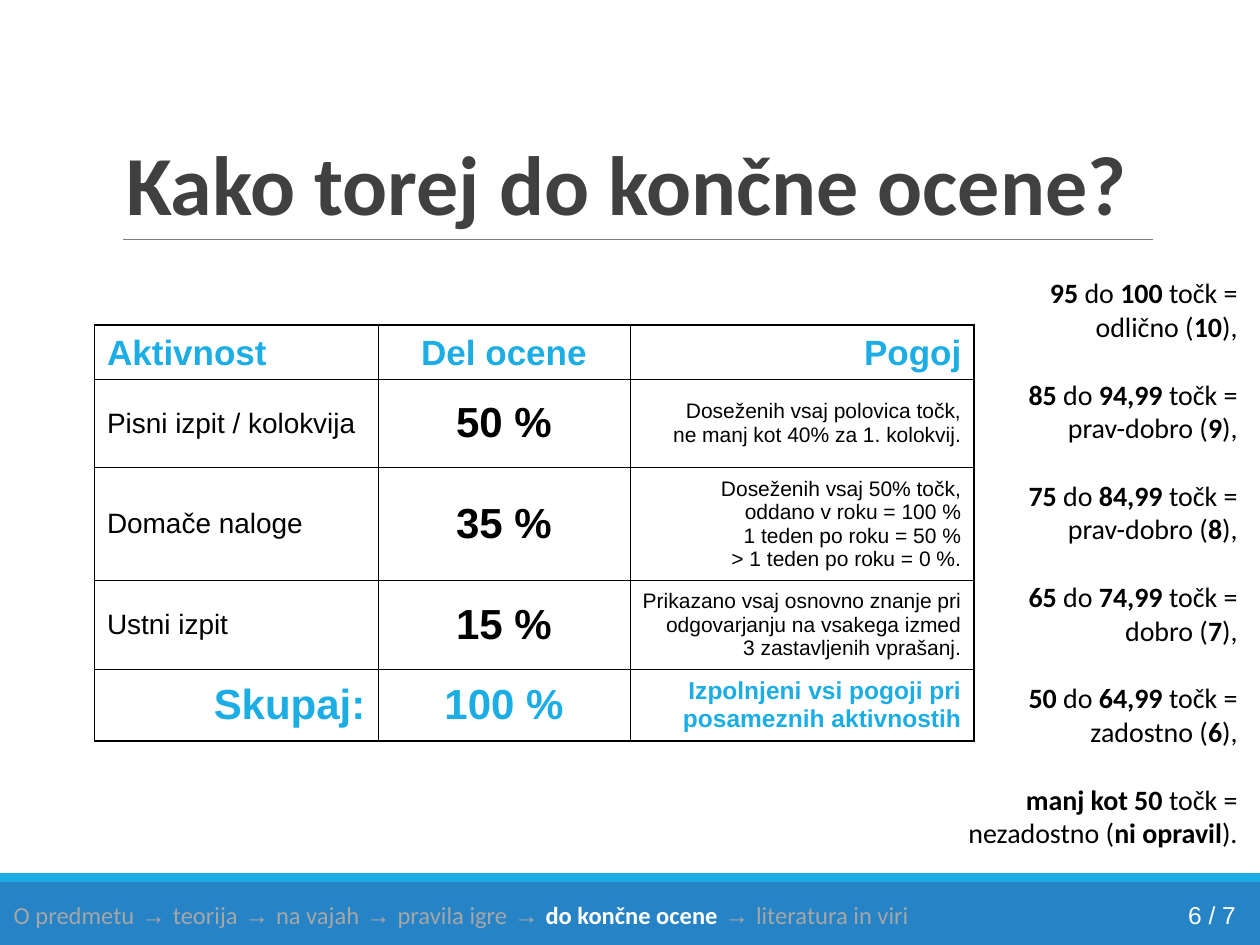
from lxml.etree import SubElement
from pptx import Presentation
from pptx.dml.color import RGBColor
from pptx.enum.shapes import MSO_CONNECTOR, MSO_SHAPE
from pptx.enum.text import MSO_ANCHOR, MSO_AUTO_SIZE, PP_ALIGN
from pptx.oxml import parse_xml
from pptx.oxml.ns import nsdecls, qn
from pptx.util import Inches, Pt

TITLE = "Kako torej do končne ocene?"
HEADER = ("Aktivnost", "Del ocene", "Pogoj")
ACTIVITIES = [
    ("Pisni izpit / kolokvija", "50 %",
     "Doseženih vsaj polovica točk,\nne manj kot 40% za 1. kolokvij."),
    ("Domače naloge", "35 %",
     "Doseženih vsaj 50% točk,\noddano v roku = 100 %\n"
     "1 teden po roku = 50 %\n> 1 teden po roku = 0 %."),
    ("Ustni izpit", "15 %",
     "Prikazano vsaj osnovno znanje pri odgovarjanju na vsakega izmed\n"
     "3 zastavljenih vprašanj."),
]
TOTAL = ("Skupaj:", "100 %", "Izpolnjeni vsi pogoji pri posameznih aktivnostih")
GRADES = [
    ("95", "100", "odlično", "10"),
    ("85", "94,99", "prav-dobro", "9"),
    ("75", "84,99", "prav-dobro", "8"),
    ("65", "74,99", "dobro", "7"),
    ("50", "64,99", "zadostno", "6"),
]
FAIL = [("manj kot 50", True), (" točk = nezadostno (", False),
        ("ni opravil", True), (").", False)]
SECTIONS = ["O predmetu", "teorija", "na vajah", "pravila igre",
            "do končne ocene", "literatura in viri"]
CURRENT_SECTION = "do končne ocene"
PAGE = "6 / 7"

THEME = {
    "heading_font": "Calibri", "table_font": "Arial",
    "accent": "1CADE4", "bar": "2683C6", "title": "404040", "rule": "7F7F7F",
    "text": "000000", "muted": "A6A6A6", "inverse": "FFFFFF",
    "title_size": 48, "header_size": 20, "share_size": 24, "body_size": 16,
    "footer_size": 14, "total_note_size": 14, "note_size": 12,
    "outer_border": 1.08, "inner_border": 0.45,
}
COLUMN_WIDTHS = (2.25, 2, 2.73)
ROW_HEIGHTS = (0.43, 0.7, 0.9, 0.7, 0.57)
ALIGNMENTS = (PP_ALIGN.LEFT, PP_ALIGN.CENTER, PP_ALIGN.RIGHT)


def color(name):
    return RGBColor.from_string(THEME[name])


def add_text(paragraph, text, size, color_name, bold=False, font="heading_font"):
    """Add runs to the paragraph, with a line break at each newline."""
    for index, line in enumerate(text.split("\n")):
        if index:
            paragraph.add_line_break()
        run = paragraph.add_run()
        run.text = line
        run.font.name = THEME[font]
        run.font.size = Pt(THEME[size])
        run.font.bold = bold
        run.font.color.rgb = color(color_name)


def add_box(slide, left, top, width, height, anchor):
    frame = slide.shapes.add_textbox(*map(Inches, (left, top, width, height))).text_frame
    frame.word_wrap = True
    frame.vertical_anchor = anchor
    return frame


def add_bar(slide, top, height, fill):
    bar = slide.shapes.add_shape(MSO_SHAPE.RECTANGLE, 0, Inches(top), Inches(10), Inches(height))
    bar.shadow.inherit = False
    bar.fill.solid()
    bar.fill.fore_color.rgb = color(fill)
    bar.line.fill.background()


def add_title(slide):
    title = slide.shapes.title
    title.left, title.top, title.width, title.height = map(Inches, (0.9, 0.31, 8.25, 1.59))
    frame = title.text_frame
    frame.word_wrap = True
    frame.auto_size = MSO_AUTO_SIZE.NONE
    frame.vertical_anchor = MSO_ANCHOR.BOTTOM
    heading = frame.paragraphs[0]
    heading.alignment = PP_ALIGN.LEFT
    heading.line_spacing = 0.85
    add_text(heading, TITLE, "title_size", "title", True)

    rule = slide.shapes.add_connector(MSO_CONNECTOR.STRAIGHT, *map(Inches, (0.98, 1.9, 9.15, 1.9)))
    rule.line.color.rgb = color("rule")
    rule.line.width = Pt(0.5)
    SubElement(rule.element.spPr, qn("a:effectLst"))


def set_borders(cell, outer_sides):
    properties = cell._tc.get_or_add_tcPr()
    for index, side in enumerate("LRTB"):
        weight = THEME["outer_border" if side in outer_sides else "inner_border"]
        properties.insert(index, parse_xml(
            f'<a:ln{side} {nsdecls("a")} w="{int(Pt(weight))}"><a:solidFill>'
            f'<a:srgbClr val="{THEME["text"]}"/></a:solidFill></a:ln{side}>'))


def cell_style(row, column, last_row):
    """Return the size, colour and weight of a table cell's text."""
    if row == 0:
        return "header_size", "accent", True
    if row == last_row:
        return ("share_size", "share_size", "total_note_size")[column], "accent", True
    return ("body_size", "share_size", "note_size")[column], "text", column == 1


def add_grading_table(slide):
    rows = [HEADER, *ACTIVITIES, TOTAL]
    last_row, last_column = len(rows) - 1, len(HEADER) - 1
    table = slide.shapes.add_table(
        len(rows), len(HEADER), Inches(0.75), Inches(2.58),
        Inches(sum(COLUMN_WIDTHS)), Inches(sum(ROW_HEIGHTS))).table
    for column, width in zip(table.columns, COLUMN_WIDTHS):
        column.width = Inches(width)
    for row, height in zip(table.rows, ROW_HEIGHTS):
        row.height = Inches(height)
    for r, texts in enumerate(rows):
        for c, text in enumerate(texts):
            cell = table.cell(r, c)
            cell.fill.background()
            cell.vertical_anchor = MSO_ANCHOR.MIDDLE if r else MSO_ANCHOR.BOTTOM
            paragraph = cell.text_frame.paragraphs[0]
            total_label = r == last_row and c == 0
            paragraph.alignment = PP_ALIGN.RIGHT if total_label else ALIGNMENTS[c]
            add_text(paragraph, text, *cell_style(r, c, last_row), "table_font")
            edges = {"L": c == 0, "R": c == last_column, "T": r == 0, "B": r == last_row}
            set_borders(cell, [side for side, outer in edges.items() if outer])


def add_grades(slide):
    frame = add_box(slide, 7.5, 2.14, 2.42, 4.63, MSO_ANCHOR.TOP)
    entries = [
        [(low, True), (" do ", False), (high, True),
         (f" točk =\n{word} (", False), (grade, True), ("),", False)]
        for low, high, word, grade in GRADES
    ]
    for index, pieces in enumerate([*entries, FAIL]):
        paragraph = frame.add_paragraph() if index else frame.paragraphs[0]
        paragraph.alignment = PP_ALIGN.RIGHT
        if index:
            paragraph.space_before = Pt(19.5)
        for text, bold in pieces:
            add_text(paragraph, text, "body_size", "text", bold)


def add_footer(slide):
    add_bar(slide, 7, 0.5, "bar")
    add_bar(slide, 6.93, 0.07, "accent")
    trail = add_box(slide, 0.01, 7.06, 9.24, 0.4, MSO_ANCHOR.MIDDLE).paragraphs[0]
    for index, section in enumerate(SECTIONS):
        if index:
            add_text(trail, " → ", "footer_size", "muted", font="table_font")
        current = section == CURRENT_SECTION
        add_text(trail, section, "footer_size", "inverse" if current else "muted", current)
    page = add_box(slide, 9.25, 7.06, 0.74, 0.4, MSO_ANCHOR.MIDDLE).paragraphs[0]
    page.alignment = PP_ALIGN.CENTER
    add_text(page, PAGE, "footer_size", "inverse", font="table_font")


def main():
    deck = Presentation()
    deck.slide_width, deck.slide_height = Inches(10), Inches(7.5)
    slide = deck.slides.add_slide(deck.slide_layouts[5])
    add_title(slide)
    add_grading_table(slide)
    add_footer(slide)
    add_grades(slide)
    deck.save("out.pptx")


if __name__ == "__main__":
    main()
